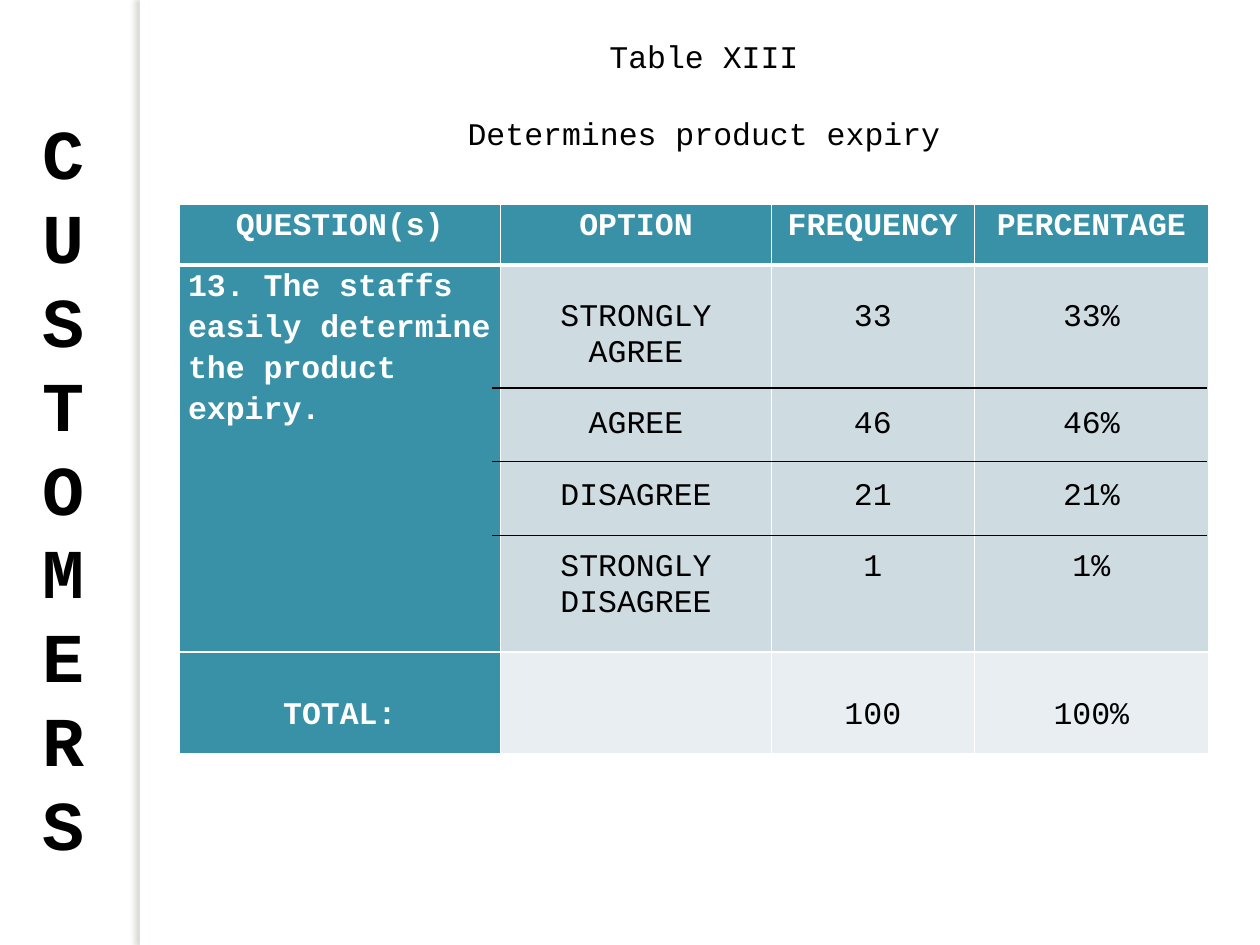
from lxml.etree import SubElement
from pptx import Presentation
from pptx.dml.color import RGBColor
from pptx.enum.shapes import MSO_CONNECTOR, MSO_SHAPE
from pptx.enum.text import MSO_ANCHOR, PP_ALIGN
from pptx.oxml.ns import qn
from pptx.util import Cm, Pt

FONT = "Courier New"
BLACK, WHITE = "000000", "FFFFFF"
TEAL, PALE, PALEST = "3891A7", "CEDCE1", "E8EEF1"
LINE = 20.4
COLUMNS = [6.48, 5.46, 4.09, 4.72]
ROWS = [1.22, 7.8, 2.06]
HEADINGS = ["QUESTION(s)", "OPTION", "FREQUENCY", "PERCENTAGE"]
QUESTION = "13. The staffs easily determine the product expiry."
OPTIONS = ["STRONGLY AGREE", "AGREE", "DISAGREE", "STRONGLY DISAGREE"]
COUNTS = ["33", "46", "21", "1"]
SHARES = ["33%", "46%", "21%", "1%"]


def color(value):
    """Turn a hex string into a colour."""
    return RGBColor.from_string(value)


def write(frame, lines, size=18, ink=BLACK, bold=False, align=PP_ALIGN.CENTER,
          gaps=None, spacing=None):
    """Write one paragraph per line, with a list of gaps above them in points."""
    frame.word_wrap = True
    for index, line in enumerate(lines):
        para = frame.paragraphs[0] if index == 0 else frame.add_paragraph()
        para.text = line
        para.alignment = align
        if gaps and gaps[index]:
            para.space_before = Pt(gaps[index])
        if spacing:
            para.line_spacing = spacing
        para.font.name = FONT
        para.font.size = Pt(size)
        para.font.bold = bold
        para.font.color.rgb = color(ink)


def add_title(page):
    """Fill and place the title placeholder."""
    title = page.shapes.title
    title.left, title.top, title.width, title.height = Cm(4.88), Cm(0.61), Cm(18.62), Cm(2.57)
    title.text_frame.vertical_anchor = MSO_ANCHOR.MIDDLE
    write(title.text_frame, ["Table XIII", "Determines product expiry"], gaps=[0, 22.4])


def add_divider(page):
    """Add the full-height white strip with its soft shadow on the left."""
    strip = page.shapes.add_shape(MSO_SHAPE.RECTANGLE, Cm(2.82), 0, Cm(0.2), Cm(19.05))
    strip.fill.solid()
    strip.fill.fore_color.rgb = color(WHITE)
    strip.line.fill.background()
    strip.shadow.inherit = False
    effects = strip._element.spPr.find(qn("a:effectLst"))
    shadow = SubElement(effects, qn("a:outerShdw"), blurRad=str(Pt(3)), dist=str(Pt(3)),
                        dir="10800000", algn="ctr", rotWithShape="0")
    tint = SubElement(shadow, qn("a:srgbClr"), val="736F63")
    SubElement(tint, qn("a:alpha"), val="25000")


def add_side_label(page, word):
    """Add a word running down the left side, one letter a line."""
    box = page.shapes.add_textbox(Cm(0.64), Cm(1.9), Cm(1.27), Cm(15.65))
    frame = box.text_frame
    frame.margin_left = frame.margin_right = 0
    frame.margin_top = Cm(0.3)
    write(frame, list(word), size=40, bold=True, spacing=Pt(48))


def set_borders(cell, **widths):
    """Give a cell white borders, one point wide unless stated by side."""
    properties = cell._tc.get_or_add_tcPr()
    for side in "LRTB":
        border = SubElement(properties, qn(f"a:ln{side}"), w=str(Pt(widths.get(side, 1))))
        fill = SubElement(border, qn("a:solidFill"))
        SubElement(fill, qn("a:srgbClr"), val=WHITE)


def fill_cell(cell, lines, fill, top=0, borders=None, **style):
    """Set the borders, fill, margins and text of a cell."""
    set_borders(cell, **(borders or {}))
    cell.fill.solid()
    cell.fill.fore_color.rgb = color(fill)
    cell.margin_left = cell.margin_right = Cm(0.18)
    cell.margin_top, cell.margin_bottom = Cm(top), 0
    write(cell.text_frame, lines, **style)


def add_results(page):
    """Add the table of survey answers."""
    frame = page.shapes.add_table(len(ROWS), len(COLUMNS), Cm(3.61), Cm(4.12),
                                  Cm(sum(COLUMNS)), Cm(sum(ROWS)))
    table = frame.table
    for column, width in zip(table.columns, COLUMNS):
        column.width = Cm(width)
    for row, height in zip(table.rows, ROWS):
        row.height = Cm(height)

    label = {"ink": WHITE, "bold": True, "spacing": 1.15}
    for index, heading in enumerate(HEADINGS):
        fill_cell(table.cell(0, index), [heading], TEAL, borders={"B": 3}, **label)

    under_header = {"T": 3}
    fill_cell(table.cell(1, 0), [QUESTION], TEAL, borders=under_header,
              align=PP_ALIGN.LEFT, **label)
    for index, answers in enumerate([OPTIONS, COUNTS, SHARES], start=1):
        first_gap = LINE if index == 1 else 2 * LINE
        fill_cell(table.cell(1, index), answers, PALE, top=0.72, borders=under_header,
                  gaps=[0, first_gap, LINE, LINE])

    fill_cell(table.cell(2, 0), ["TOTAL:"], TEAL, top=0.83, **label)
    for index, total in enumerate(["", "100", "100%"], start=1):
        fill_cell(table.cell(2, index), [total], PALEST, top=0.83, spacing=1.15)


def add_rule(page, top):
    """Add a thin black line between two answers."""
    rule = page.shapes.add_connector(MSO_CONNECTOR.STRAIGHT, Cm(9.91), Cm(top),
                                     Cm(24.33), Cm(top))
    rule.line.color.rgb = color(BLACK)
    rule.line.width = Pt(0.75)
    SubElement(rule._element.spPr, qn("a:effectLst"))


def main():
    """Build the slide and save it."""
    deck = Presentation()
    deck.slide_width, deck.slide_height = Cm(25.4), Cm(19.05)
    page = deck.slides.add_slide(deck.slide_layouts[5])
    page.background.fill.solid()
    page.background.fill.fore_color.rgb = color(WHITE)
    add_divider(page)
    add_side_label(page, "CUSTOMERS")
    add_results(page)
    for index in range(3):
        add_rule(page, 7.82 + 1.49 * index)
    add_title(page)
    deck.save("out.pptx")


if __name__ == "__main__":
    main()
